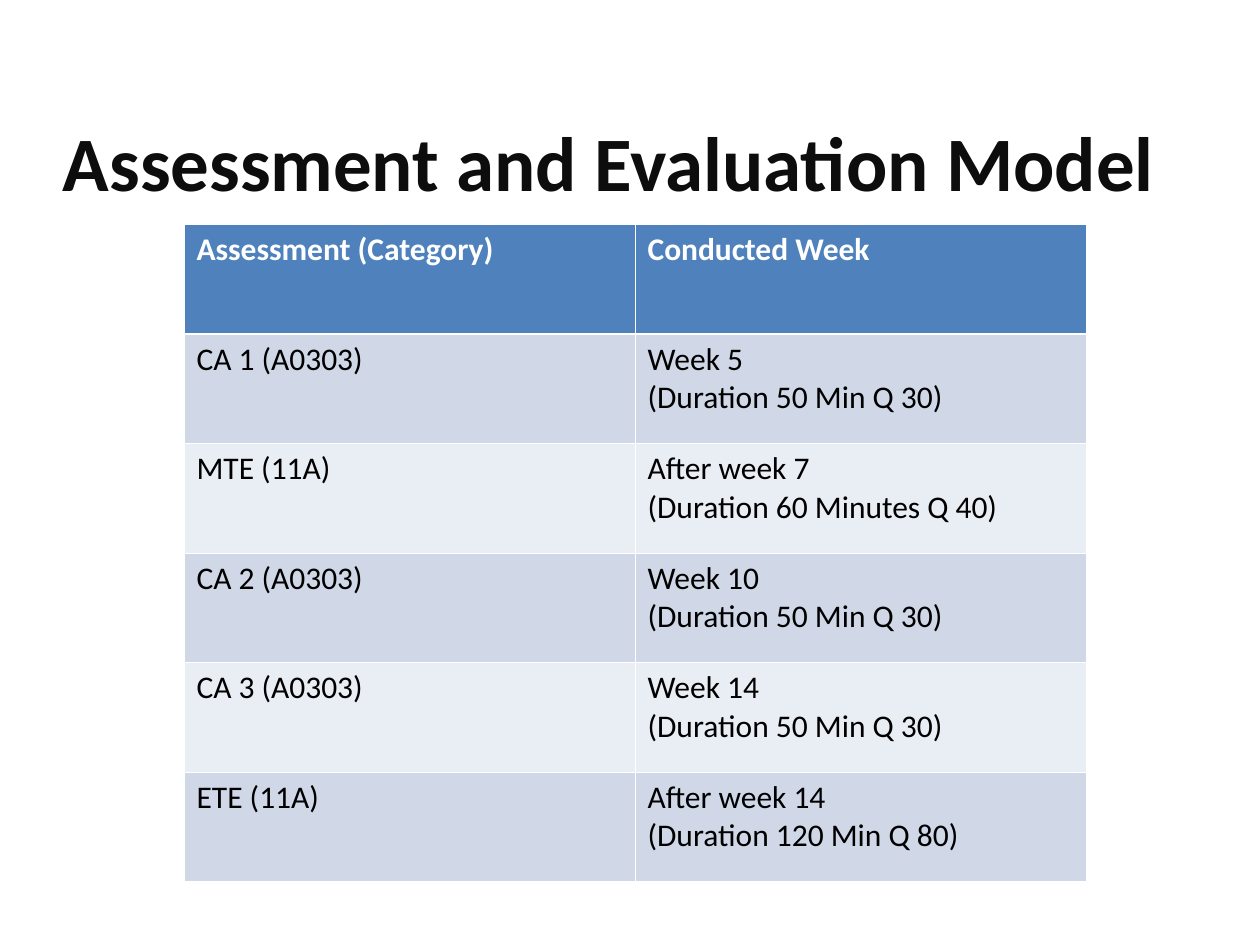
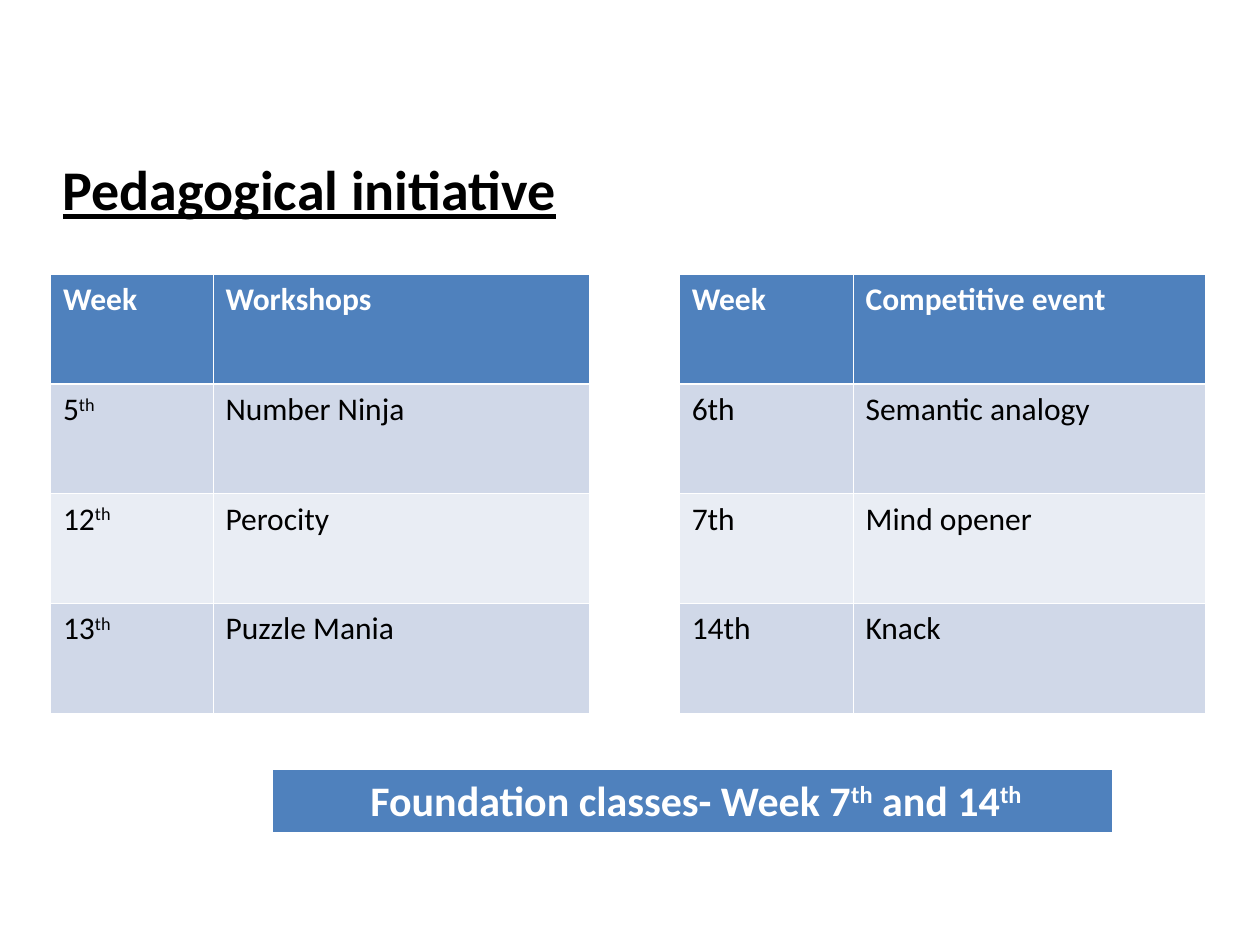
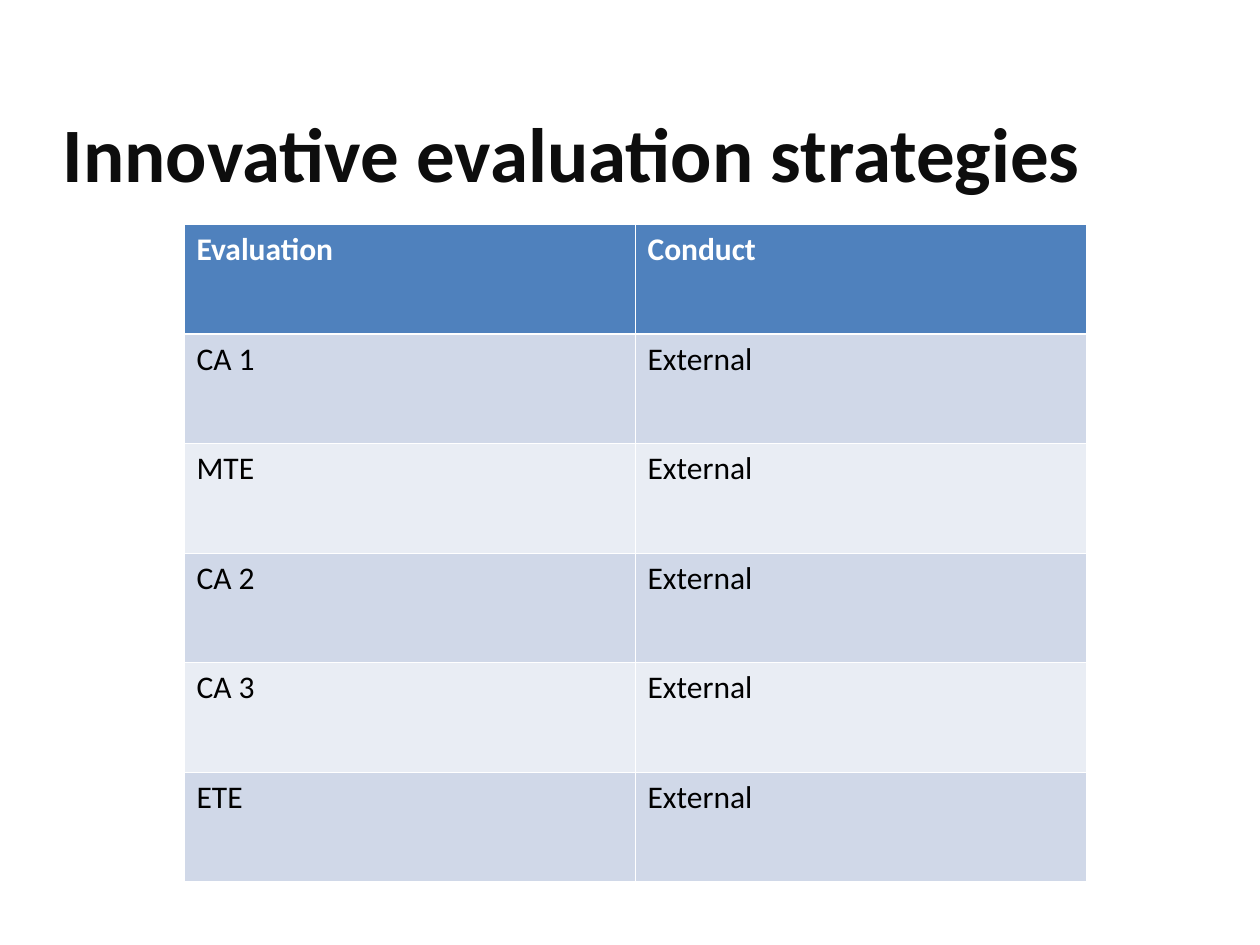
import pptx
import pptx.dml.color
import pptx.enum.text
import pptx.oxml.ns
import pptx.util
from lxml import etree

Inches = pptx.util.Inches
Pt = pptx.util.Pt

COLORS = {
    "title": "0D0D0D",
    "text": "000000",
    "white": "FFFFFF",
    "header": "4F81BD",
    "odd_row": "D0D8E8",
    "even_row": "E9EDF4",
}


class Deck:
    font_name = "Calibri"
    left = 0.4
    row_height = 0.87
    thin_line = 0.45
    header_line = 1.47

    def __init__(self):
        self.presentation = pptx.Presentation()
        self.presentation.slide_width = Inches(10)
        self.presentation.slide_height = Inches(7.5)
        self.slide = None

    def new_slide(self):
        self.slide = self.presentation.slides.add_slide(self.presentation.slide_layouts[6])

    def color(self, name):
        return pptx.dml.color.RGBColor.from_string(COLORS[name])

    def add_runs(self, paragraph, text, size, color, bold=False, underline=False):
        for position, part in enumerate(text.split("^")):
            if not part:
                continue
            run = paragraph.add_run()
            run.text = part
            run.font.name = self.font_name
            run.font.size = Pt(size)
            run.font.bold = bold
            run.font.underline = underline
            run.font.color.rgb = self.color(color)
            if position % 2:
                run._r.get_or_add_rPr().set("baseline", "30000")

    def title(self, text, top, size=44, color="title", underline=False):
        shape = self.slide.shapes.add_textbox(Inches(self.left), Inches(top), Inches(9.48), Inches(0.85))
        frame = shape.text_frame
        frame.word_wrap = True
        frame.vertical_anchor = pptx.enum.text.MSO_ANCHOR.MIDDLE
        self.add_runs(frame.paragraphs[0], text, size, color, True, underline)

    def border(self, cell, side, width):
        line = etree.SubElement(cell._tc.get_or_add_tcPr(), pptx.oxml.ns.qn(f"a:ln{side}"), w=str(Pt(width)))
        fill = etree.SubElement(line, pptx.oxml.ns.qn("a:solidFill"))
        etree.SubElement(fill, pptx.oxml.ns.qn("a:srgbClr"), val=COLORS["white"])

    def cell(self, cell, text, row, size):
        is_header = row == 0
        widths = {
            "L": self.thin_line,
            "R": self.thin_line,
            "T": self.header_line if row == 1 else self.thin_line,
            "B": self.header_line if is_header else self.thin_line,
        }
        for side, width in widths.items():
            self.border(cell, side, width)
        fill_name = "header" if is_header else "odd_row" if row % 2 else "even_row"
        cell.fill.solid()
        cell.fill.fore_color.rgb = self.color(fill_name)
        frame = cell.text_frame
        for position, line in enumerate(text.split("\n")):
            paragraph = frame.add_paragraph() if position else frame.paragraphs[0]
            self.add_runs(paragraph, line, size, "white" if is_header else "text", is_header)

    def table(self, left, top, widths, rows, row_height=row_height, size=18):
        shape = self.slide.shapes.add_table(
            len(rows), len(widths), Inches(left), Inches(top),
            Inches(sum(widths)), Inches(row_height * len(rows)))
        table = shape.table
        for column, width in zip(table.columns, widths):
            column.width = Inches(width)
        for row, texts in enumerate(rows):
            table.rows[row].height = Inches(row_height)
            for column, text in enumerate(texts):
                self.cell(table.cell(row, column), text, row, size)
        return table

    def main_table(self, rows):
        self.table(1.46, 1.78, [3.58, 3.58], rows)

    def banner(self, text):
        table = self.table(2.16, 6.11, [6.67], [[text]], row_height=0.5, size=24)
        table.cell(0, 0).margin_left = Inches(0.78)


def main():
    deck = Deck()

    deck.new_slide()
    deck.title("Assessment and Evaluation Model", 0.85)
    deck.main_table([
        ["Assessment (Category)", "Conducted Week"],
        ["CA 1 (A0303)", "Week 5\n(Duration 50 Min Q 30)"],
        ["MTE (11A)", "After week 7\n(Duration 60 Minutes Q 40)"],
        ["CA 2 (A0303)", "Week 10\n(Duration 50 Min Q 30)"],
        ["CA 3 (A0303)", "Week 14\n(Duration 50 Min Q 30)"],
        ["ETE (11A)", "After week 14\n(Duration 120 Min Q 80)"],
    ])

    deck.new_slide()
    deck.title("Pedagogical initiative", 1.07, size=32, color="text", underline=True)
    deck.table(deck.left, 2.18, [1.29, 2.99], [
        ["Week", "Workshops"],
        ["5^th^", "Number Ninja"],
        ["12^th^", "Perocity"],
        ["13^th^", "Puzzle Mania"],
    ])
    deck.table(5.39, 2.18, [1.38, 2.8], [
        ["Week", "Competitive event"],
        ["6th", "Semantic analogy"],
        ["7th", "Mind opener"],
        ["14th", "Knack"],
    ])
    deck.banner("Foundation classes- Week 7^th^ and 14^th^")

    deck.new_slide()
    deck.title("Innovative evaluation strategies", 0.78)
    assessments = ["CA 1", "MTE", "CA 2", "CA 3", "ETE"]
    deck.main_table([["Evaluation", "Conduct"]] + [[name, "External"] for name in assessments])

    deck.presentation.save("out.pptx")


if __name__ == "__main__":
    main()
